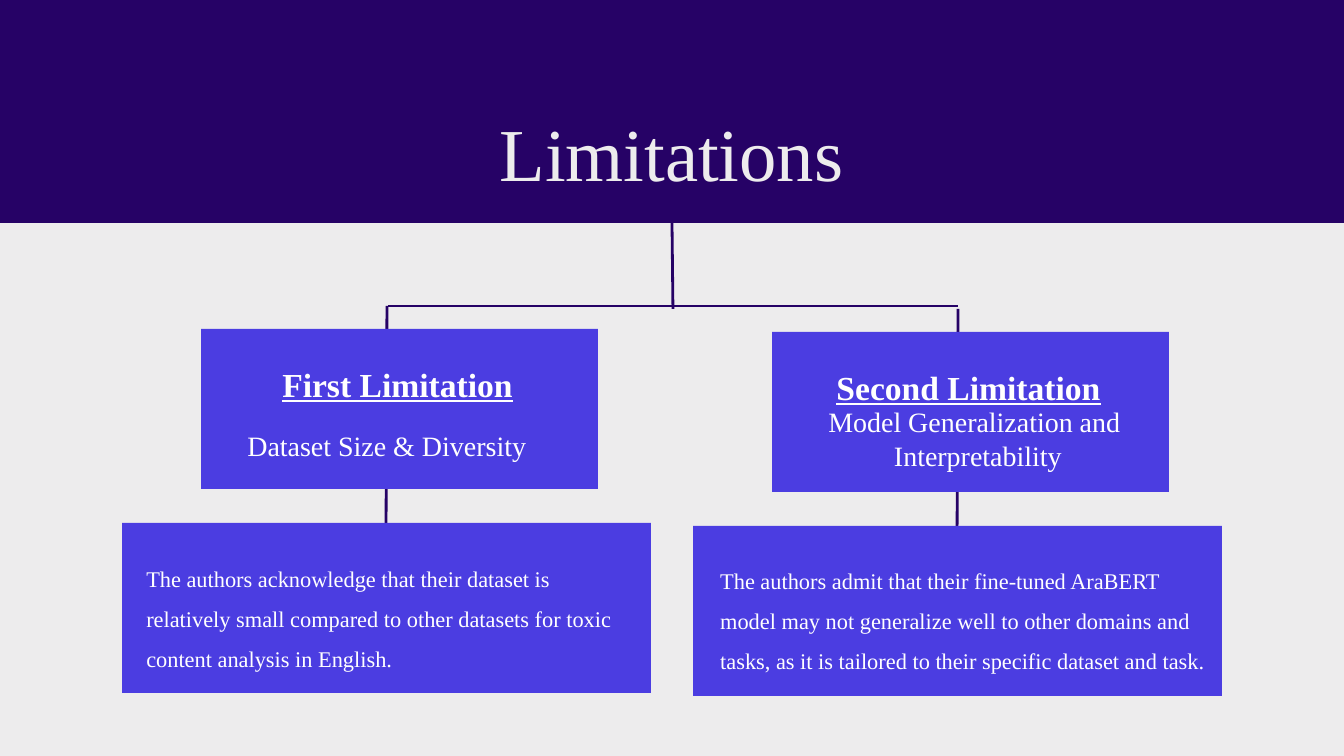
import pptx
import pptx.util
import pptx.dml.color
import pptx.enum.shapes
import pptx.enum.text
import pptx.oxml.ns
from lxml import etree

PX = 914400 / 134.4
FONT = "Times New Roman"
COLORS = {"paper": "EDECED", "dark": "260266", "box": "4B3DE1", "white": "FFFFFF"}

TITLE = "Limitations"
LIMITATIONS = [
    {
        "heading": "First Limitation",
        "summary": ["Dataset Size & Diversity"],
        "summary_at": (172, 429, 430, 34),
        "summary_spacing": {},
        "detail": "The authors acknowledge that their dataset is relatively small "
                  "compared to other datasets for toxic content analysis in English.",
        "detail_at": (133, 538, 509, 137),
    },
    {
        "heading": "Second Limitation",
        "summary": ["Model Generalization and ", "Interpretability"],
        "summary_at": (742, 419, 472, 51),
        "summary_spacing": {"line": 0.5, "before": 9},
        "detail": "The authors admit that their fine-tuned AraBERT model may not "
                  "generalize well to other domains and tasks, as it is tailored to "
                  "their specific dataset and task.",
        "detail_at": (707, 540, 513, 146),
    },
]
COLUMN_STEP = (571, 3)
BRANCH_Y = 306


def px(n):
    return pptx.util.Emu(round(n * PX))


def rgb(name):
    return pptx.dml.color.RGBColor.from_string(COLORS[name])


def add_rect(slide, box, color):
    s = slide.shapes.add_shape(
        pptx.enum.shapes.MSO_SHAPE.RECTANGLE, *map(px, box))
    s.shadow.inherit = False
    s.fill.solid()
    s.fill.fore_color.rgb = rgb(color)
    s.line.fill.background()
    return s


def add_line(slide, x1, y1, x2, y2):
    c = slide.shapes.add_connector(
        pptx.enum.shapes.MSO_CONNECTOR.STRAIGHT, *map(px, (x1, y1, x2, y2)))
    c.line.color.rgb = rgb("dark")
    c.line.width = pptx.util.Pt(1.5)
    etree.SubElement(c._element.spPr, pptx.oxml.ns.qn("a:effectLst"))
    return c


def add_text(slide, box, paragraphs, size, color="white", center=True,
             inset=0, line=None, before=None, strong=False):
    """Add a text box; strong means bold and underlined."""
    tf = slide.shapes.add_textbox(*map(px, box)).text_frame
    tf.word_wrap = True
    tf.margin_left = tf.margin_right = pptx.util.Inches(inset)
    tf.margin_top = tf.margin_bottom = pptx.util.Inches(inset)
    for i, text in enumerate(paragraphs):
        p = tf.add_paragraph() if i else tf.paragraphs[0]
        align = pptx.enum.text.PP_ALIGN
        p.alignment = align.CENTER if center else align.LEFT
        if line:
            p.line_spacing = line
        if before:
            p.space_before = pptx.util.Pt(before)
        r = p.add_run()
        r.text = text
        r.font.name = FONT
        r.font.size = pptx.util.Pt(size)
        r.font.color.rgb = rgb(color)
        if strong:
            r.font.bold = r.font.underline = True


def add_limitation(slide, item, dx, dy):
    add_line(slide, 386 + dx, 547 + dy, 387 + dx, BRANCH_Y + dy)
    add_line(slide, 387 + dx, 571 + dy, 387 + dx, 523 + dy)
    add_rect(slide, (122 + dx, 523 + dy, 529, 170), "box")
    add_rect(slide, (201 + dx, 329 + dy, 397, 160), "box")
    add_text(slide, item["summary_at"], item["summary"], 15,
             **item["summary_spacing"])
    add_text(slide, (212 + dx, 356 + dy, 371, 40), [item["heading"]], 18,
             line=1.2, strong=True)
    add_text(slide, item["detail_at"], [item["detail"]], 12, center=False,
             inset=0.1, line=1.5, before=9)


def main():
    prs = pptx.Presentation()
    prs.slide_width, prs.slide_height = px(1344), px(756)
    slide = prs.slides.add_slide(prs.slide_layouts[6])
    slide.background.fill.solid()
    slide.background.fill.fore_color.rgb = rgb("paper")

    band = add_rect(slide, (0, 0, 1344, 223), "dark")
    add_text(slide, (284, 89, 775, 90), [TITLE], 40, color="paper", line=1.2)
    trunk = add_line(slide, 672, 223, 673, 309)
    trunk.begin_connect(band, 2)
    add_line(slide, 388, BRANCH_Y, 387 + COLUMN_STEP[0], BRANCH_Y)

    step_x, step_y = COLUMN_STEP
    for i, item in enumerate(LIMITATIONS):
        add_limitation(slide, item, i * step_x, i * step_y)
    prs.save("out.pptx")


if __name__ == "__main__":
    main()
